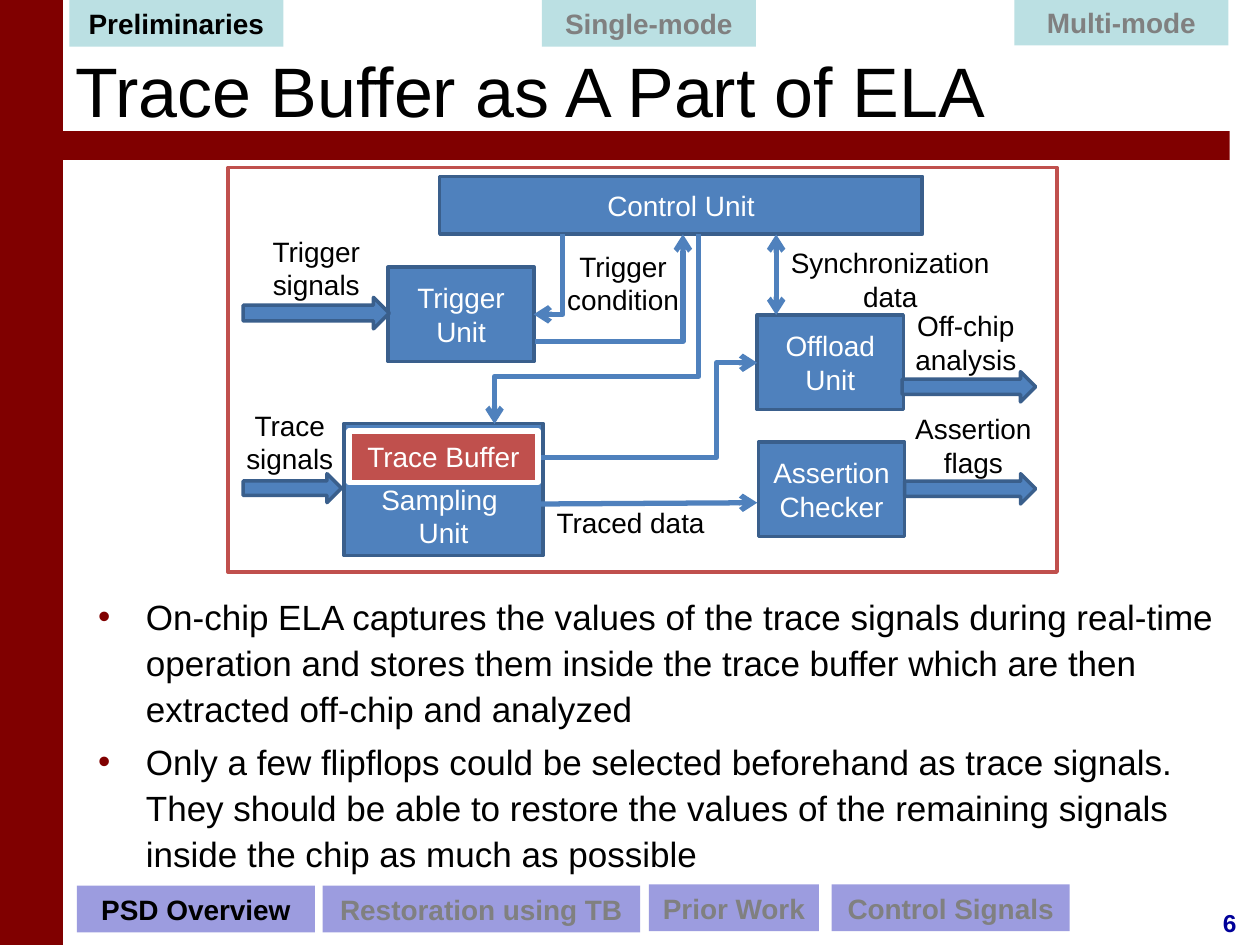
from lxml import etree
from pptx import Presentation
from pptx.dml.color import RGBColor
from pptx.enum.shapes import MSO_CONNECTOR, MSO_SHAPE
from pptx.enum.text import MSO_ANCHOR, PP_ALIGN
from pptx.oxml.ns import qn
from pptx.util import Inches, Pt

RECT, ARROW = MSO_SHAPE.RECTANGLE, MSO_SHAPE.RIGHT_ARROW
LINE, ELBOW = MSO_CONNECTOR.STRAIGHT, MSO_CONNECTOR.ELBOW
TOP, MID, LOW = MSO_ANCHOR.TOP, MSO_ANCHOR.MIDDLE, MSO_ANCHOR.BOTTOM
LEFT, CENTER = PP_ALIGN.LEFT, PP_ALIGN.CENTER
HEX = {
    "maroon": "800000", "white": "FFFFFF", "black": "000000", "gray": "808080",
    "blue": "4F81BD", "edge": "3A5F8C", "red": "C0504D", "navy": "000099",
    "teal": "BBE0E3", "lilac": "9C9CDF",
}
RGB = {name: RGBColor.from_string(code) for name, code in HEX.items()}

deck = Presentation()
deck.slide_width, deck.slide_height = Inches(10), Inches(7.5)
slide = deck.slides.add_slide(deck.slide_layouts[6])
shapes = slide.shapes


def block(box, fill, edge=None, width=2, kind=RECT):
    """Add a filled shape, with an outline only if edge is given."""
    shape = shapes.add_shape(kind, *map(Inches, box))
    shape.shadow.inherit = False
    shape.fill.solid()
    shape.fill.fore_color.rgb = RGB[fill]
    if edge:
        shape.line.color.rgb = RGB[edge]
        shape.line.width = Pt(width)
    else:
        shape.line.fill.background()
    return shape


def write(shape, text, color, size=16, bold=False, align=CENTER, anchor=TOP):
    """Fill a shape with wrapped text, one paragraph per line."""
    frame = shape.text_frame
    frame.text = text
    frame.word_wrap = True
    frame.vertical_anchor = anchor
    for para in frame.paragraphs:
        para.alignment = align
        for run in para.runs:
            run.font.name = "Arial"
            run.font.size = Pt(size)
            run.font.bold = bold
            run.font.color.rgb = RGB[color]


# Frame, title and page number
block((0, 0, 0.5, 7.5), "maroon")
block((0.42, 1.04, 9.34, 0.23), "maroon")
for box, text, color, size, bold, align, anchor in [
    ((9.51, 7.16, 0.5, 0.33), "6", "navy", 14, True, CENTER, TOP),
    ((0.5, 0.17, 9.17, 1.08), "Trace Buffer as A Part of ELA", "black", 40,
     False, LEFT, MID),
]:
    write(shapes.add_textbox(*map(Inches, box)), text, color, size, bold,
          align, anchor)

# Units of the diagram
block((1.81, 1.33, 6.58, 3.21), "white", "red")
for box, text, anchor in [
    ((3.49, 1.4, 3.83, 0.46), "Control Unit", MID),
    ((3.08, 2.12, 1.16, 0.75), "Trigger Unit", MID),
    ((2.73, 3.36, 1.58, 1.05), "Sampling \nUnit", LOW),
    ((6.01, 2.5, 1.16, 0.75), "Offload Unit", MID),
    ((6.02, 3.51, 1.16, 0.75), "Assertion Checker", MID),
]:
    write(block(box, "blue", "edge"), text, "white", anchor=anchor)

# Wires: begin, end before turning, turn in degrees, preset, bend, ends
for kind, start, end, turn, preset, bend, ends in [
    (ELBOW, (3.98, 1.8), (5.49, 3.42), 90, "bentConnector3", 75000, ["tail"]),
    (ELBOW, (4.03, 2.06), (4.67, 2.29), 90, "bentConnector2", None, ["tail"]),
    (ELBOW, (4.23, 3.63), (6.01, 2.88), 0, "bentConnector3", 81800, ["tail"]),
    (ELBOW, (4.25, 2.71), (5.42, 1.86), 0, "bentConnector2", None, ["tail"]),
    (LINE, (6.16, 1.86), (6.16, 2.5), 0, "line", None, ["head", "tail"]),
    (LINE, (4.27, 4), (6.01, 3.99), 0, "line", None, ["tail"]),
]:
    wire = shapes.add_connector(kind, *map(Inches, start + end))
    wire.line.color.rgb = RGB["blue"]
    wire.line.width = Pt(3)
    props = wire._element.spPr
    if turn:
        props.find(qn("a:xfrm")).set("rot", str(turn * 60000))
    geom = props.find(qn("a:prstGeom"))
    geom.set("prst", preset)
    if bend:
        guide = etree.SubElement(geom.find(qn("a:avLst")), qn("a:gd"))
        guide.set("name", "adj1")
        guide.set("fmla", f"val {bend}")
    for tip in ends:
        etree.SubElement(props.find(qn("a:ln")),
                         qn(f"a:{tip}End")).set("type", "arrow")
    etree.SubElement(props, qn("a:effectLst"))

# Signals in and out
for box in [(1.93, 2.36, 1.16, 0.25), (7.16, 2.95, 1.06, 0.24),
            (1.93, 3.76, 0.78, 0.23), (7.18, 3.76, 1.04, 0.24)]:
    block(box, "blue", "edge", kind=ARROW)
write(block((2.77, 3.42, 1.5, 0.41), "red", "white", 3), "Trace Buffer",
      "white", anchor=MID)

for box, text in [
    ((2.02, 1.81, 0.98, 0.55), "Trigger signals"),
    ((4.32, 1.93, 1.25, 0.55), "Trigger condition"),
    ((4.31, 3.96, 1.39, 0.32), "Traced data"),
    ((6.97, 2.4, 1.39, 0.55), "Off-chip analysis"),
    ((7.03, 3.22, 1.39, 0.55), "Assertion flags"),
    ((6.14, 1.9, 1.85, 0.55), "Synchronization data"),
    ((1.81, 3.19, 0.98, 0.55), "Trace signals"),
]:
    write(shapes.add_textbox(*map(Inches, box)), text, "black")

# Bullets
points = [
    "On-chip ELA captures the values of the trace signals during real-time "
    "operation and stores them inside the trace buffer which are then "
    "extracted off-chip and analyzed",
    "Only a few flipflops could be selected beforehand as trace signals. "
    "They should be able to restore the values of the remaining signals "
    "inside the chip as much as possible",
]
body = shapes.add_textbox(*map(Inches, (0.68, 4.64, 9.17, 1.83)))
write(body, "\n".join(points), "black", 20, align=LEFT)
for para in body.text_frame.paragraphs:
    para.line_spacing = 1.1
    para.space_before = Pt(4)
    props = para._p.get_or_add_pPr()
    props.set("marL", str(Inches(0.38)))
    props.set("indent", str(-Inches(0.38)))
    tint = etree.SubElement(props, qn("a:buClr"))
    etree.SubElement(tint, qn("a:srgbClr")).set("val", HEX["maroon"])
    etree.SubElement(props, qn("a:buFont")).set("typeface", "Arial")
    etree.SubElement(props, qn("a:buChar")).set("char", "•")

# Section tabs above, topic tabs below
for left, top, width, text, fill, color in [
    (0.55, 0, 1.7, "Preliminaries", "teal", "black"),
    (4.3, 0, 1.7, "Single-mode", "teal", "gray"),
    (8.05, -0.01, 1.7, "Multi-mode", "teal", "gray"),
    (0.61, 7.03, 1.89, "PSD Overview", "lilac", "black"),
    (2.56, 7.03, 2.52, "Restoration using TB", "lilac", "gray"),
    (5.15, 7.02, 1.35, "Prior Work", "lilac", "gray"),
    (6.6, 7.02, 1.89, "Control Signals", "lilac", "gray"),
]:
    write(block((left, top, width, 0.37), fill), text, color, bold=True,
          anchor=MID)

deck.save("out.pptx")
